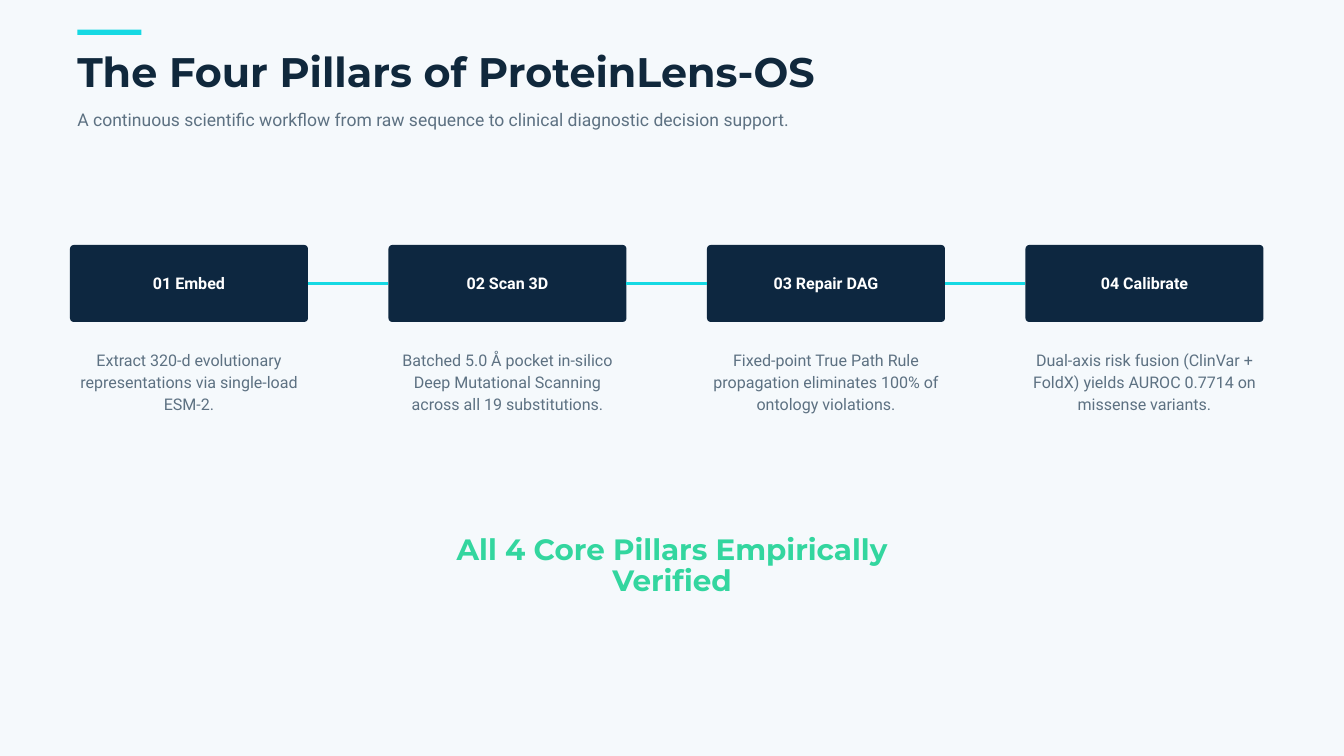
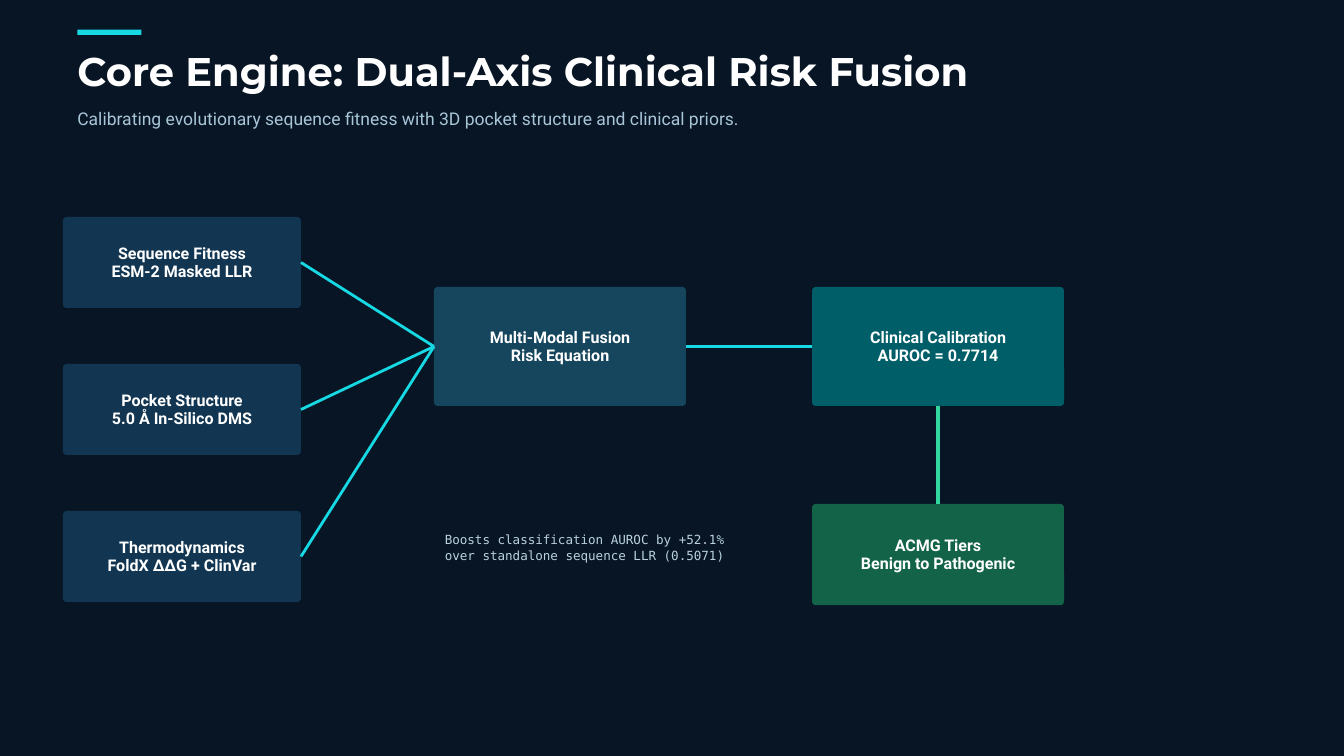
from dataclasses import dataclass

from pptx import Presentation
from pptx.dml.color import RGBColor as RGB
from pptx.enum.shapes import MSO_CONNECTOR as Connector, MSO_SHAPE as Preset
from pptx.enum.text import MSO_ANCHOR as Anchor, MSO_AUTO_SIZE as AutoSize, PP_ALIGN as Align
from pptx.oxml.ns import qn
from pptx.util import Pt

TOP, LEFT, BOTTOM, RIGHT = range(4)
TITLE_ONLY = 5


@dataclass(frozen=True)
class TextStyle:
    font: str
    size: float
    leading: float
    bold: bool = False
    align: Align = Align.LEFT


class Theme:
    LIGHT, DARK = "F5F9FC", "071525"
    INK, WHITE = "10283C", "FFFFFF"
    SLATE, MIST, PALE = "5D7182", "A9C6D8", "B9D1DE"
    CYAN, GREEN = "16D9E3", "33D69F"
    NAVY, INPUT, FUSION = "0D2740", "123652", "16465D"
    CALIBRATION, TIERS = "005E68", "126348"

    TITLE_LIGHT = TextStyle("Montserrat", 44.2, 46, bold=True)
    TITLE_DARK = TextStyle("Montserrat", 42.8, 44.5, bold=True)
    SUBTITLE = TextStyle("Roboto", 18.8, 25.3)
    BOX = TextStyle("Roboto", 17.2, 19.8, bold=True, align=Align.CENTER)
    BODY = TextStyle("Roboto", 17.2, 23.3, align=Align.CENTER)
    CLAIM = TextStyle("Montserrat", 31.5, 32.8, bold=True, align=Align.CENTER)
    NOTE = TextStyle("DejaVu Sans Mono", 13.5, 16.9, align=Align.CENTER)

    MARGIN = 82.8
    RADIUS = 4
    BOX_INSET = 4.5


def set_all(target, values):
    for name, value in values.items():
        setattr(target, name, value)


def place(shape, left, top, width, height):
    set_all(shape, {"left": Pt(left), "top": Pt(top),
                    "width": Pt(width), "height": Pt(height)})


class Deck:
    """Holds the theme, the presentation and the slide being built."""

    def __init__(self, theme):
        self.theme = theme
        self.presentation = Presentation()
        set_all(self.presentation, {"slide_width": Pt(1440), "slide_height": Pt(810)})
        self.slide = None

    def fill_text(self, shape, text, style, color, anchor=Anchor.TOP, inset=0):
        frame = shape.text_frame
        margins = {f"margin_{side}": Pt(inset) for side in ("left", "top", "right", "bottom")}
        set_all(frame, {"text": text, "word_wrap": True, "auto_size": AutoSize.NONE,
                        "vertical_anchor": anchor, **margins})
        for paragraph in frame.paragraphs:
            set_all(paragraph, {"alignment": style.align, "space_before": Pt(0),
                                "line_spacing": Pt(style.leading)})
            set_all(paragraph.font, {"name": style.font, "size": Pt(style.size),
                                     "bold": style.bold})
            paragraph.font.color.rgb = RGB.from_string(color)

    def start_slide(self, background, title, title_style, title_color,
                    subtitle, subtitle_top, subtitle_color):
        theme = self.theme
        layout = self.presentation.slide_layouts[TITLE_ONLY]
        self.slide = self.presentation.slides.add_slide(layout)
        fill = self.slide.background.fill
        fill.solid()
        fill.fore_color.rgb = RGB.from_string(background)
        heading = self.slide.shapes.title
        place(heading, theme.MARGIN, 56.2, 1124.6, title_style.leading)
        self.fill_text(heading, title, title_style, title_color)
        self.text((theme.MARGIN, subtitle_top, 1064.9, 24), subtitle,
                  theme.SUBTITLE, subtitle_color)
        self.shape(Preset.RECTANGLE, (theme.MARGIN, 31.7, 68.8, 5.8), theme.CYAN)

    def text(self, area, text, style, color):
        box = self.slide.shapes.add_textbox(*map(Pt, area))
        self.fill_text(box, text, style, color)

    def shape(self, preset, area, color):
        shape = self.slide.shapes.add_shape(preset, *map(Pt, area))
        shape.shadow.inherit = False
        shape.fill.solid()
        shape.fill.fore_color.rgb = RGB.from_string(color)
        shape.line.fill.background()
        return shape

    def box(self, area, text, color):
        theme = self.theme
        box = self.shape(Preset.ROUNDED_RECTANGLE, area, color)
        box.adjustments[0] = theme.RADIUS / min(area[2:])
        self.fill_text(box, text, theme.BOX, theme.WHITE, Anchor.MIDDLE, theme.BOX_INSET)
        return box

    def link(self, start, start_side, end, end_side, color, width=3.75):
        line = self.slide.shapes.add_connector(Connector.STRAIGHT, 0, 0, 0, 0)
        line.begin_connect(start, start_side)
        line.end_connect(end, end_side)
        line.line.color.rgb = RGB.from_string(color)
        line.line.width = Pt(width)
        properties = line._element.spPr
        properties.append(properties.makeelement(qn("a:effectLst"), {}))


def build_pillars(deck):
    theme = deck.theme
    deck.start_slide(
        theme.LIGHT, "The Four Pillars of ProteinLens-OS", theme.TITLE_LIGHT, theme.INK,
        "A continuous scientific workflow from raw sequence to clinical diagnostic "
        "decision support.", 114.5, theme.SLATE)
    pillars = [
        ("Embed", "Extract 320-d evolutionary representations via single-load ESM-2."),
        ("Scan 3D", "Batched 5.0 Å pocket in-silico Deep Mutational Scanning "
                    "across all 19 substitutions."),
        ("Repair DAG", "Fixed-point True Path Rule propagation eliminates 100% of "
                       "ontology violations."),
        ("Calibrate", "Dual-axis risk fusion (ClinVar + FoldX) yields AUROC 0.7714 "
                      "on missense variants."),
    ]
    previous = None
    for index, (name, description) in enumerate(pillars):
        left = 75 + 341.25 * index
        pillar = deck.box((left, 262.5, 255, 82.5), f"{index + 1:02} {name}", theme.NAVY)
        deck.text((left, 373, 255, 69), description, theme.BODY, theme.SLATE)
        if previous is not None:
            deck.link(previous, RIGHT, pillar, LEFT, theme.CYAN)
        previous = pillar
    deck.text((450, 574, 540, 65.5), "All 4 Core Pillars Empirically Verified",
              theme.CLAIM, theme.GREEN)


def build_risk_fusion(deck):
    theme = deck.theme
    deck.start_slide(
        theme.DARK, "Core Engine: Dual-Axis Clinical Risk Fusion", theme.TITLE_DARK,
        theme.WHITE, "Calibrating evolutionary sequence fitness with 3D pocket structure "
        "and clinical priors.", 112.5, theme.MIST)
    input_texts = ["Sequence Fitness\nESM-2 Masked LLR",
                   "Pocket Structure\n5.0 Å In-Silico DMS",
                   "Thermodynamics\nFoldX ΔΔG + ClinVar"]
    inputs = [deck.box((67.5, 232.5 + 157.5 * row, 255, 97.5), text, theme.INPUT)
              for row, text in enumerate(input_texts)]
    fusion = deck.box((465, 307.5, 270, 127.5),
                      "Multi-Modal Fusion\nRisk Equation", theme.FUSION)
    calibration = deck.box((870, 307.5, 270, 127.5),
                           "Clinical Calibration\nAUROC = 0.7714", theme.CALIBRATION)
    tiers = deck.box((870, 540, 270, 108.5),
                     "ACMG Tiers\nBenign to Pathogenic", theme.TIERS)
    for source in inputs:
        deck.link(source, RIGHT, fusion, LEFT, theme.CYAN, width=3)
    deck.link(fusion, RIGHT, calibration, LEFT, theme.CYAN)
    deck.link(calibration, BOTTOM, tiers, TOP, theme.GREEN)
    deck.text((465, 569.5, 322.5, 33.5),
              "Boosts classification AUROC by +52.1% over standalone sequence LLR (0.5071)",
              theme.NOTE, theme.PALE)


def main():
    deck = Deck(Theme())
    build_pillars(deck)
    build_risk_fusion(deck)
    deck.presentation.save("out.pptx")


if __name__ == "__main__":
    main()
